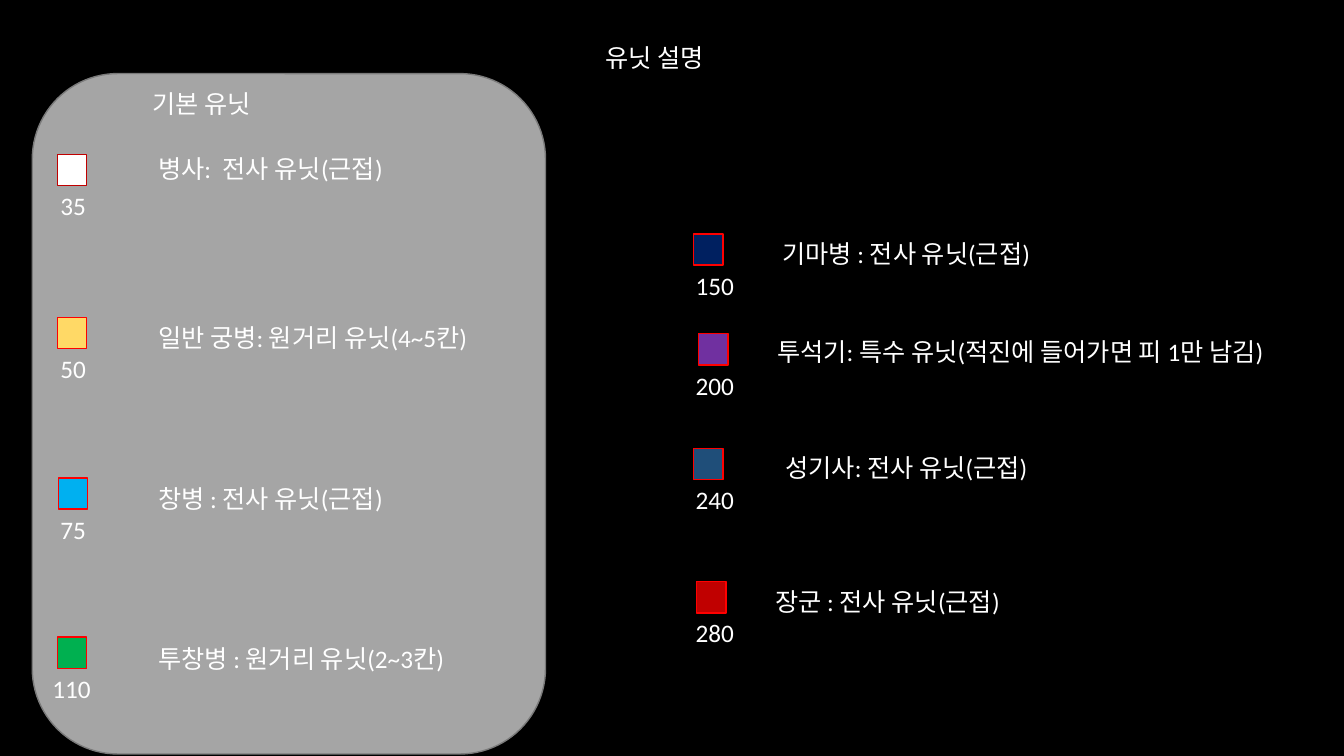
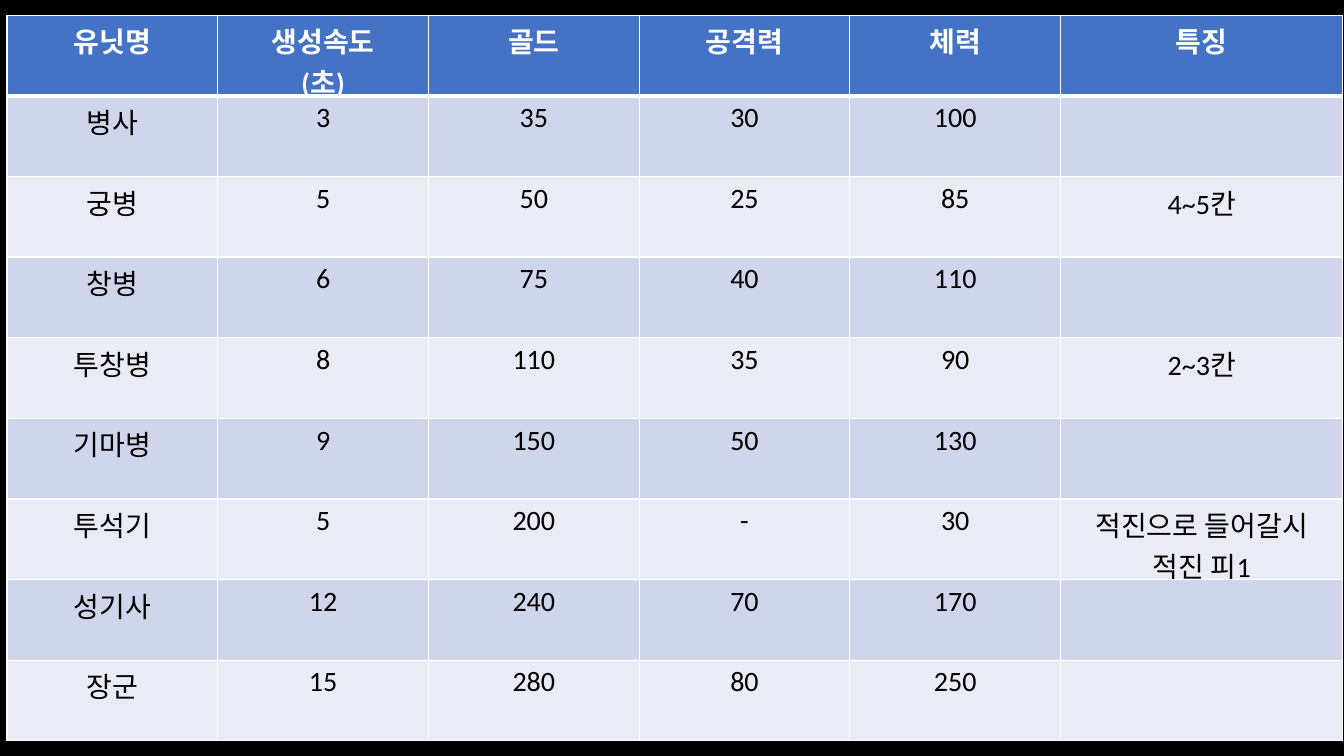
import pptx
import pptx.util
import pptx.dml.color
import pptx.enum.shapes
import pptx.enum.text
import pptx.oxml
import pptx.oxml.ns

Inches, Pt = pptx.util.Inches, pptx.util.Pt
SHAPE = pptx.enum.shapes.MSO_SHAPE
ALIGN = pptx.enum.text.PP_ALIGN

FONT = "Calibri"
BLACK, WHITE, RED = "000000", "FFFFFF", "FF0000"
HEADER_FILL, BANDS = "4472C4", ("CFD5EA", "E9EBF5")

TITLE = "유닛 설명"
GROUP = "기본 유닛"
UNITS = [
    # swatch left, top, fill, line, price, price left, label, label left, top
]
UNITS = [
    ((0.57, 1.53), "FFFFFF", "C00000", "35", 0.5, "병사:  전사 유닛(근접)", (1.47, 1.47)),
    ((0.57, 3.15), "FFD966", RED, "50", 0.5, "일반 궁병: 원거리 유닛(4~5칸)", (1.47, 3.15)),
    ((0.58, 4.74), "00B0F0", RED, "75", 0.5, "창병 : 전사 유닛(근접)", (1.47, 4.75)),
    ((0.57, 6.32), "00B050", RED, "110", 0.42, "투창병 : 원거리 유닛(2~3칸)", (1.47, 6.33)),
    ((6.88, 2.32), "002060", RED, "150", 6.8, "기마병 : 전사 유닛(근접)", (7.66, 2.32)),
    ((6.93, 3.31), "7030A0", RED, "200", 6.8,
     "투석기: 특수 유닛(적진에 들어가면 피 1만 남김)", (7.61, 3.29)),
    ((6.88, 4.45), "1F4E79", RED, "240", 6.8, "성기사: 전사 유닛(근접)", (7.69, 4.44)),
    ((6.91, 5.77), "C00000", RED, "280", 6.8, "장군 : 전사 유닛(근접)", (7.59, 5.77)),
]
SWATCH_W, SWATCH_H = 0.29, 0.31
PRICE_WIDTHS = {2: 0.47, 3: 0.69}

STATS = [
    ("유닛명", "생성속도\n(초)", "골드", "공격력", "체력", "특징"),
    ("병사", "3", "35", "30", "100", ""),
    ("궁병", "5", "50", "25", "85", "4~5칸"),
    ("창병", "6", "75", "40", "110", ""),
    ("투창병", "8", "110", "35", "90", "2~3칸"),
    ("기마병", "9", "150", "50", "130", ""),
    ("투석기", "5", "200", "-", "30", "적진으로 들어갈시 적진 피1"),
    ("성기사", "12", "240", "70", "170", ""),
    ("장군", "15", "280", "80", "250", ""),
]
COL_WIDTHS = [2.09] * 5 + [2.8]
ROW_HEIGHT = 0.8


def rgb(value):
    return pptx.dml.color.RGBColor.from_string(value)


def box(*lengths):
    return [Inches(n) for n in lengths]


def add_slide():
    s = prs.slides.add_slide(prs.slide_layouts[6])
    s.background.fill.solid()
    s.background.fill.fore_color.rgb = rgb(BLACK)
    return s


def add_shape(s, kind, at, fill, line):
    sp = s.shapes.add_shape(kind, *box(*at))
    sp.shadow.inherit = False
    sp.fill.solid()
    sp.fill.fore_color.rgb = rgb(fill)
    sp.line.color.rgb = rgb(line)
    sp.line.width = Pt(1)


def set_text(tf, text, size, color, bold=False, align=None):
    tf.text = text
    for p in tf.paragraphs:
        p.alignment = align
        for r in p.runs:
            r.font.name = FONT
            r.font.size = Pt(size)
            r.font.bold = bold
            r.font.color.rgb = rgb(color)


def add_text(s, at, text, align=None, grow=True):
    tf = s.shapes.add_textbox(*box(*at)).text_frame
    tf.word_wrap = True
    if grow:
        tf.auto_size = pptx.enum.text.MSO_AUTO_SIZE.SHAPE_TO_FIT_TEXT
    set_text(tf, text, 18, WHITE, align=align)
    return tf


def set_borders(cell, top, bottom):
    tcPr = cell._tc.get_or_add_tcPr()
    for side, width in (("L", 1), ("R", 1), ("T", top), ("B", bottom)):
        tcPr.append(pptx.oxml.parse_xml(
            f'<a:ln{side} {pptx.oxml.ns.nsdecls("a")} w="{Pt(width)}"><a:solidFill>'
            f'<a:srgbClr val="{WHITE}"/></a:solidFill></a:ln{side}>'))


prs = pptx.Presentation()
prs.slide_width, prs.slide_height = box(13.33, 7.5)

s = add_slide()
add_shape(s, SHAPE.ROUNDED_RECTANGLE, (0.32, 0.73, 5.09, 6.75), "A5A5A5", "7A7A7A")
title = add_text(s, (0.57, 0.4, 11.84, 1.05), TITLE, ALIGN.CENTER, grow=False)
title.paragraphs[0].line_spacing = 0.9
add_text(s, (1.41, 0.83, 3.6, 0.4), GROUP)
for (x, y), fill, line, price, price_x, label, label_at in UNITS:
    add_shape(s, SHAPE.RECTANGLE, (x, y, SWATCH_W, SWATCH_H), fill, line)
    add_text(s, (price_x, y + SWATCH_H, PRICE_WIDTHS[len(price)], 0.4), price)
    add_text(s, (*label_at, 5.33, 0.4), label)

s = add_slide()
table = s.shapes.add_table(
    len(STATS), len(COL_WIDTHS),
    *box(0.07, 0.15, sum(COL_WIDTHS), ROW_HEIGHT * len(STATS))).table
for column, width in zip(table.columns, COL_WIDTHS):
    column.width = Inches(width)
for i, row in enumerate(STATS):
    table.rows[i].height = Inches(ROW_HEIGHT)
    header = i == 0
    for j, text in enumerate(row):
        cell = table.cell(i, j)
        set_borders(cell, 3 if i == 1 else 1, 3 if header else 1)
        cell.fill.solid()
        cell.fill.fore_color.rgb = rgb(HEADER_FILL if header else BANDS[(i - 1) % 2])
        set_text(cell.text_frame, text, 20, WHITE if header else BLACK, header, ALIGN.CENTER)

prs.save("out.pptx")
